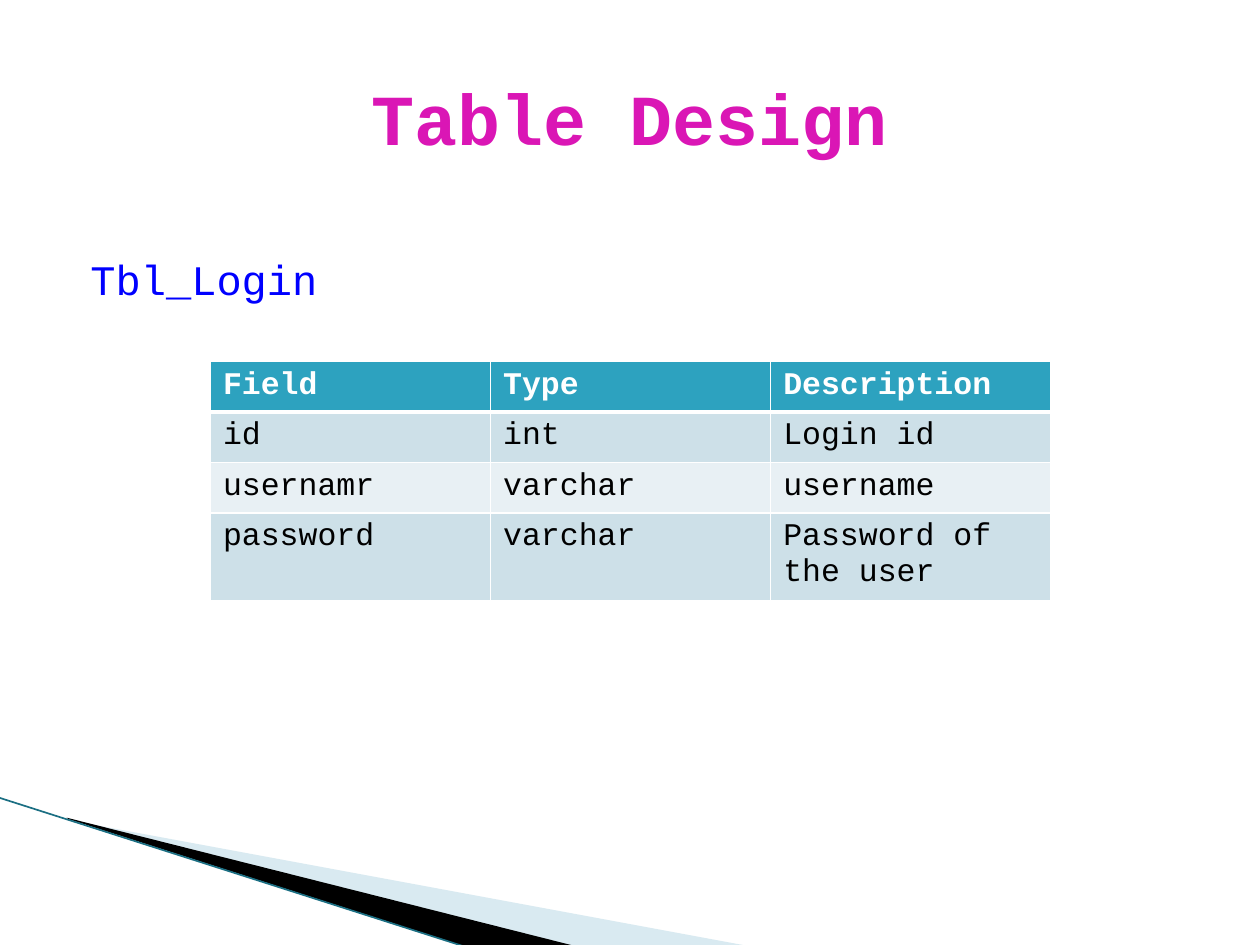
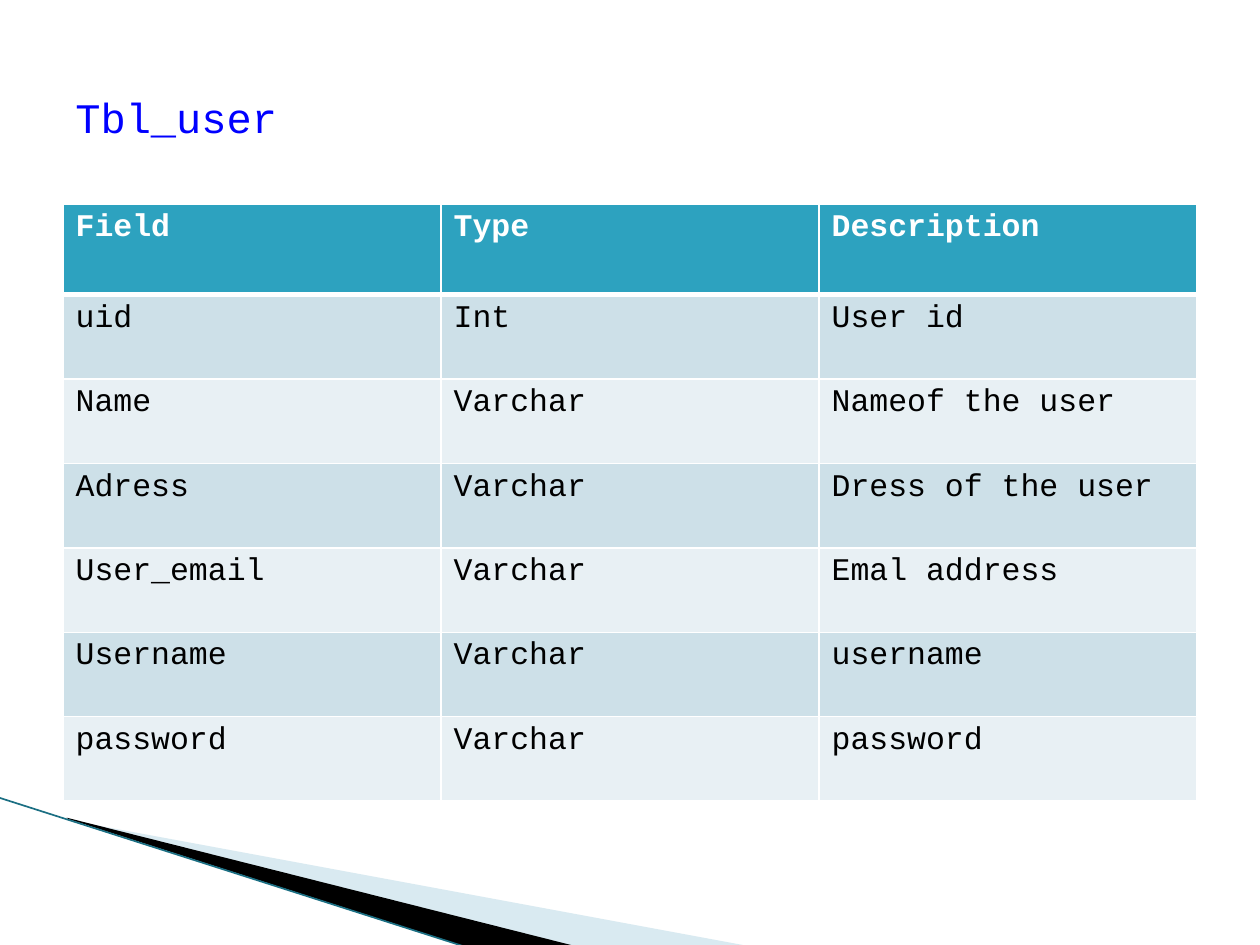
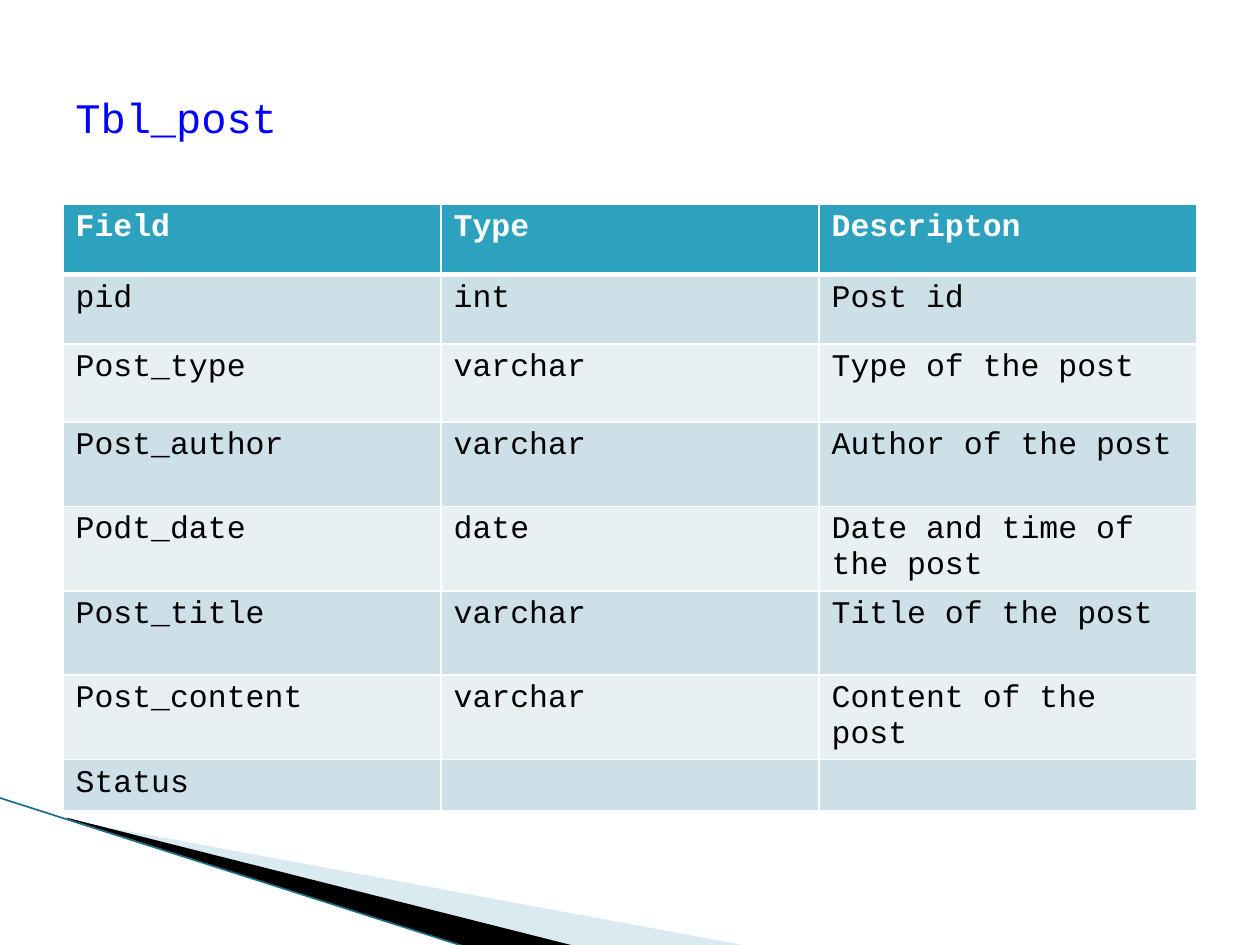
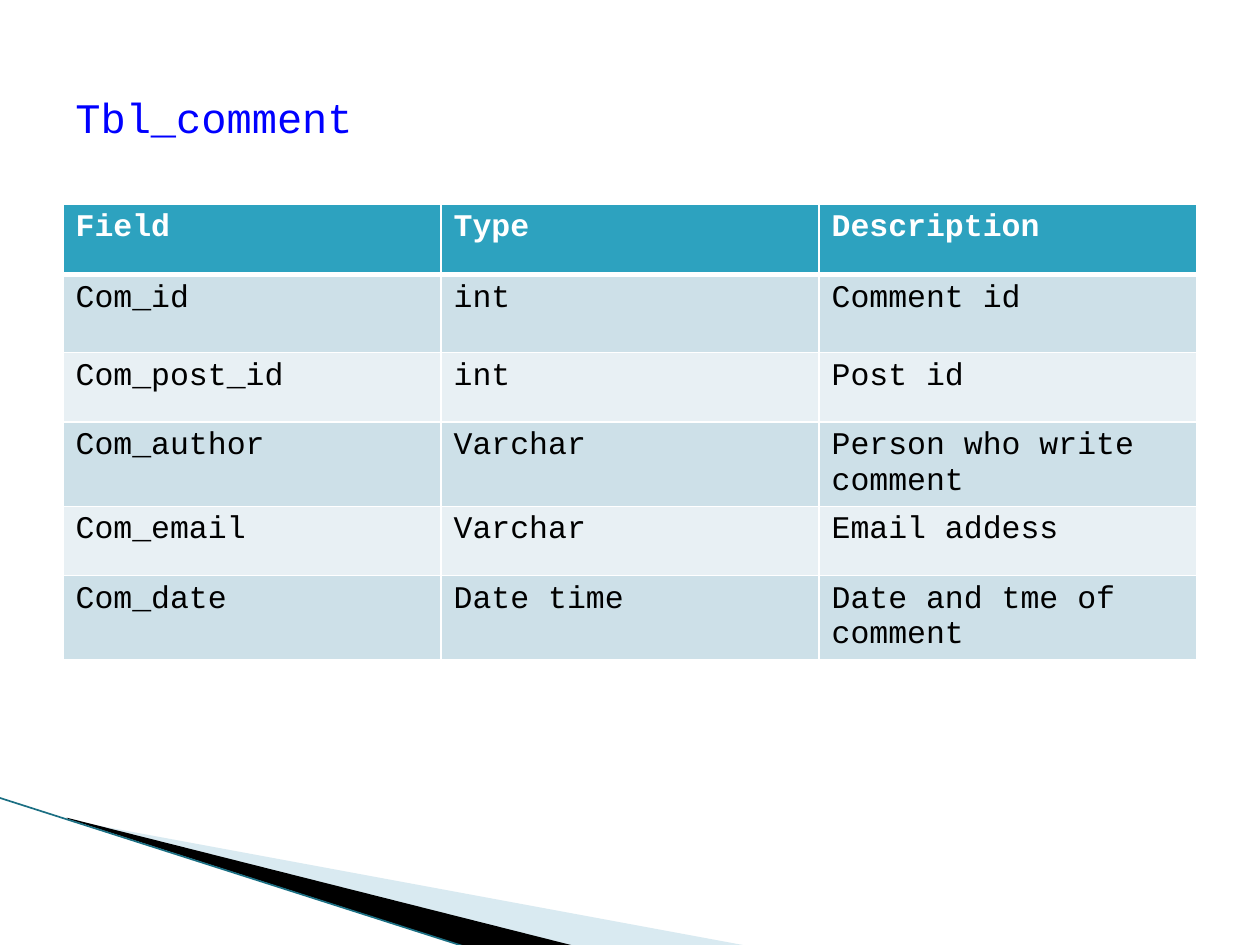
from lxml import etree
from pptx import Presentation
from pptx.dml.color import RGBColor
from pptx.enum import shapes, text
from pptx.oxml import ns
from pptx.util import Inches, Pt

FONT = "Courier New"
COLORS = {
    "title": "DA16B5",
    "name": "0000FF",
    "header": "2DA2BF",
    "odd": "CDE0E8",
    "even": "E8F0F4",
    "white": "FFFFFF",
    "black": "000000",
    "wedge": "A0CBDC",
    "edge": "1B6F83",
}
TITLE_BOX = (0.5, 0.3, 9, 1.25)
BODY_BOX = (0.5, 1.41, 9, 5.16)
HEADER = ("Field", "Type", "Description")


def rgb(name):
    return RGBColor.from_string(COLORS[name])


def write(tf, content, size=18, color="black", bold=False, align=None):
    p = tf.paragraphs[0]
    p.alignment = align
    r = p.add_run()
    r.text = content
    r.font.name = FONT
    r.font.size = Pt(size)
    r.font.bold = bold
    r.font.color.rgb = rgb(color)
    return p


def add_text(slide, box, content, anchor=text.MSO_ANCHOR.MIDDLE, top=0.05, **style):
    tf = slide.shapes.add_textbox(*map(Inches, box)).text_frame
    tf.word_wrap = True
    tf.vertical_anchor = anchor
    tf.margin_top = Inches(top)
    return write(tf, content, **style)


def add_wedge(slide, points, color, alpha=None):
    """Draw a closed, unlined outline; alpha is its opacity in percent."""
    points = [(Inches(x), Inches(y)) for x, y in points]
    builder = slide.shapes.build_freeform(*points[0], scale=1.0)
    builder.add_line_segments(points[1:], close=True)
    sp = builder.convert_to_shape()
    sp.shadow.inherit = False
    sp.fill.solid()
    sp.fill.fore_color.rgb = rgb(color)
    sp.line.fill.background()
    if alpha:
        clr = sp.fill._xPr.find(".//" + ns.qn("a:srgbClr"))
        etree.SubElement(clr, ns.qn("a:alpha"), val=str(alpha * 1000))


def add_corner(slide):
    add_wedge(slide, [(0.55, 6.51), (5.95, 7.51), (4.56, 7.51), (0.55, 6.5)], "wedge", 40)
    add_wedge(slide, [(0.53, 6.49), (4.57, 7.51), (3.72, 7.52), (0.54, 6.5)], "black")
    edge = slide.shapes.add_connector(
        shapes.MSO_CONNECTOR.STRAIGHT, *map(Inches, (-0.01, 6.33, 3.71, 7.52)))
    edge.line.color.rgb = rgb("edge")
    edge.line.width = Pt(0.95)
    etree.SubElement(edge._element.spPr, ns.qn("a:effectLst"))


def set_borders(cell, **widths):
    """Put white borders on a cell, with widths in points by side (L, R, T, B)."""
    tc_pr = cell._tc.get_or_add_tcPr()
    for i, (side, width) in enumerate(widths.items()):
        ln = etree.Element(ns.qn("a:ln" + side), w=str(Pt(width)))
        fill = etree.SubElement(ln, ns.qn("a:solidFill"))
        etree.SubElement(fill, ns.qn("a:srgbClr"), val=COLORS["white"])
        tc_pr.insert(i, ln)


def add_field_table(slide, left, top, width, heights, rows):
    frame = slide.shapes.add_table(
        len(rows), len(HEADER), Inches(left), Inches(top), Inches(width), Inches(sum(heights)))
    table = frame.table
    for i, (height, row) in enumerate(zip(heights, rows)):
        table.rows[i].height = Inches(height)
        is_header = i == 0
        fill = "header" if is_header else ("even", "odd")[i % 2]
        for j, content in enumerate(row):
            cell = table.cell(i, j)
            cell.fill.solid()
            cell.fill.fore_color.rgb = rgb(fill)
            set_borders(cell, L=1, R=1, T=3 if i == 1 else 1, B=3 if is_header else 1)
            if content:
                write(cell.text_frame, content, bold=is_header,
                      color="white" if is_header else "black")


def new_slide(prs):
    slide = prs.slides.add_slide(prs.slide_layouts[6])
    add_corner(slide)
    return slide


def opening_slide(prs, title, name, heights, rows):
    slide = new_slide(prs)
    p = add_text(slide, BODY_BOX, name, size=24, color="name",
                 anchor=text.MSO_ANCHOR.TOP, top=0.6)
    p_pr = p._p.get_or_add_pPr()
    p_pr.set("marL", str(Inches(0.4)))
    p_pr.set("indent", str(Inches(-0.28)))
    add_text(slide, TITLE_BOX, title, size=41, color="title", bold=True,
             align=text.PP_ALIGN.CENTER)
    add_field_table(slide, 1.67, 2.87, 6.67, heights, rows)


def table_slide(prs, name, heights, rows):
    slide = new_slide(prs)
    add_field_table(slide, 0.5, 1.62, 9, heights, rows)
    add_text(slide, TITLE_BOX, name, size=24, color="name")


LOGIN = [
    HEADER,
    ("id", "int", "Login id"),
    ("usernamr", "varchar", "username"),
    ("password", "varchar", "Password of the user"),
]
USER = [
    HEADER,
    ("uid", "Int", "User id"),
    ("Name", "Varchar", "Nameof the user"),
    ("Adress", "Varchar", "Dress of the user"),
    ("User_email", "Varchar", "Emal address"),
    ("Username", "Varchar", "username"),
    ("password", "Varchar", "password"),
]
POST = [
    ("Field", "Type", "Descripton"),
    ("pid", "int", "Post id"),
    ("Post_type", "varchar", "Type of the post"),
    ("Post_author", "varchar", "Author of the post"),
    ("Podt_date", "date", "Date and time of the post"),
    ("Post_title", "varchar", "Title of the post"),
    ("Post_content", "varchar", "Content of the post"),
    ("Status", "", ""),
]
COMMENT = [
    HEADER,
    ("Com_id", "int", "Comment id"),
    ("Com_post_id", "int", "Post id"),
    ("Com_author", "Varchar", "Person who write comment"),
    ("Com_email", "Varchar", "Email addess"),
    ("Com_date", "Date time", "Date and tme of comment"),
]


def main():
    prs = Presentation()
    prs.slide_width, prs.slide_height = Inches(10), Inches(7.5)
    opening_slide(prs, "Table Design", "Tbl_Login", [0.38] * 3 + [0.66], LOGIN)
    table_slide(prs, "Tbl_user", [0.72] + [0.67] * 6, USER)
    table_slide(prs, "Tbl_post", [0.56, 0.55, 0.62] + [0.67] * 4 + [0.41], POST)
    table_slide(prs, "Tbl_comment", [0.56, 0.62, 0.55, 0.67, 0.55, 0.67], COMMENT)
    prs.save("out.pptx")


if __name__ == "__main__":
    main()
